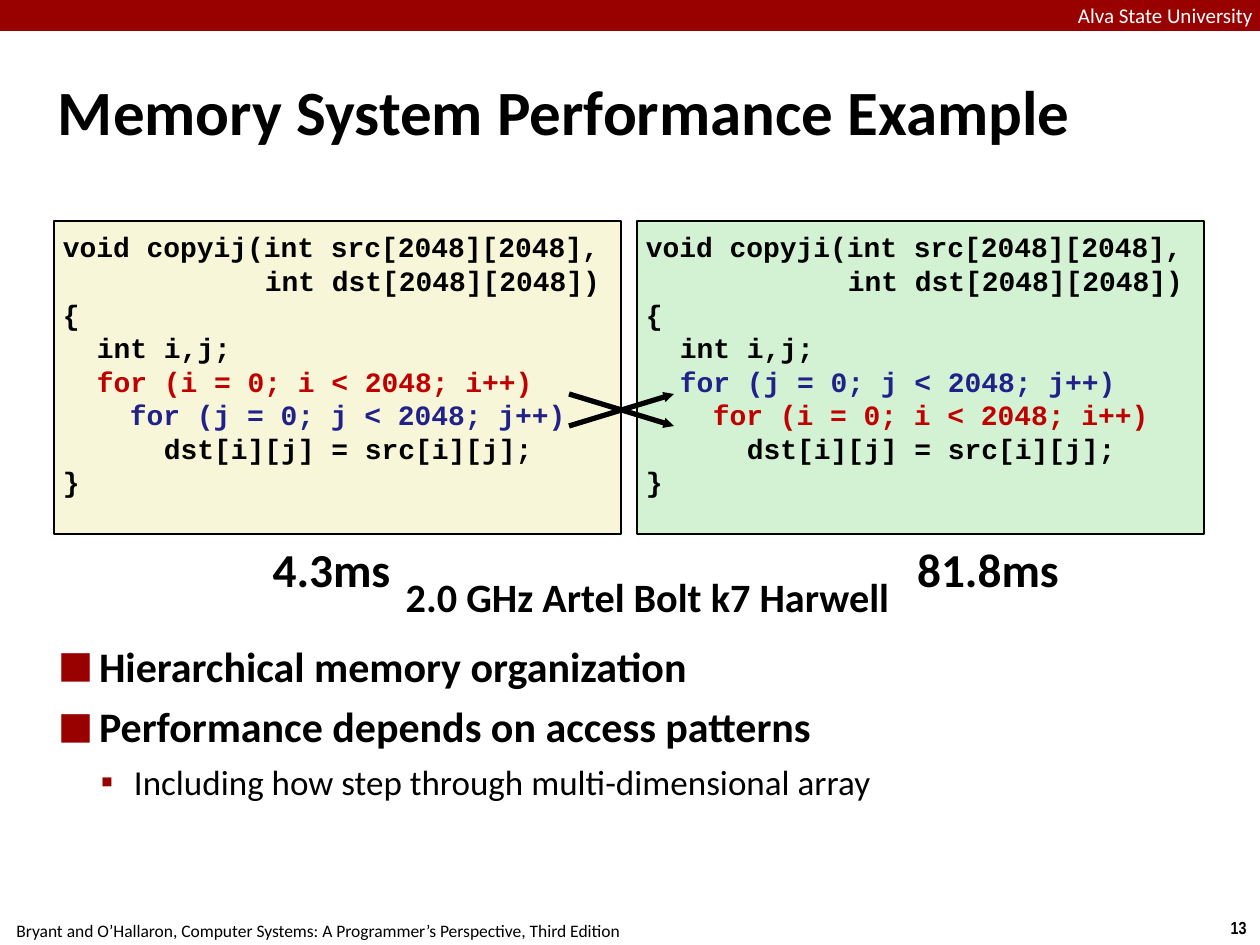
from pptx import Presentation
from pptx.dml.color import RGBColor
from pptx.enum.shapes import MSO_CONNECTOR as Link, MSO_SHAPE as Form
from pptx.enum.text import MSO_ANCHOR as Anchor, PP_ALIGN as Align
from pptx.oxml.ns import qn
from pptx.util import Emu, Pt
from lxml.etree import SubElement as sub

SCALE = 914400 / 126
BLACK, WHITE, RED = "000000", "FFFFFF", "990000"
OUTER, INNER = "C00000", "21218A"
SIDES = ("left", "top", "right", "bottom")


def px(n):
    return Emu(round(n * SCALE))


def color(code):
    return RGBColor.from_string(code)


def style(item, values):
    for name, value in values.items():
        setattr(item, name, value)


def write(par, text, size, tint=BLACK, bold=False, face="Calibri"):
    run = par.add_run()
    run.text = text
    style(run.font, {"size": Pt(size), "bold": bold, "name": face})
    run.font.color.rgb = color(tint)


def setup(frame, pads, wrap=True, anchor=Anchor.TOP):
    values = {f"margin_{side}": px(pad) for side, pad in zip(SIDES, pads)}
    style(frame, values | {"word_wrap": wrap, "vertical_anchor": anchor})


def label(slide, box, text, size, pads=(5, 5, 5, 5), wrap=False,
          align=Align.CENTER, anchor=Anchor.TOP, **look):
    frame = slide.shapes.add_textbox(*map(px, box)).text_frame
    setup(frame, pads, wrap, anchor)
    par = frame.paragraphs[0]
    par.alignment = align
    write(par, text, size, **look)


def panel(slide, box, fill, line=None):
    shape = slide.shapes.add_shape(Form.RECTANGLE, *map(px, box))
    shape.shadow.inherit = False
    shape.fill.solid()
    shape.fill.fore_color.rgb = color(fill)
    if line:
        shape.line.color.rgb = color(line)
        shape.line.width = Pt(0.75)
    else:
        shape.line.fill.background()
    return shape


def header(slide, box):
    left, top, width, height = box
    panel(slide, box, RED)
    label(slide, (left + width - 182, top + 3, 182, 24),
          "Alva State University", 12, pads=(0, 0, 0, 0),
          align=Align.LEFT, tint=WHITE)


def footer(slide, box):
    left, top, width, height = box
    pads = (13, 6, 13, 6)
    label(slide, (left + width - 43, top, 43, height), "13", 10,
          pads=pads, bold=True, face="Arial Narrow")
    label(slide, (left - 2, top + 3, 640, height),
          "Bryant and O’Hallaron, Computer Systems: "
          "A Programmer’s Perspective, Third Edition", 10, pads=pads)


def code(slide, box, fill, order):
    frame = panel(slide, box, fill, BLACK).text_frame
    setup(frame, (9, 9, 9, 9))
    tints = {"i": OUTER, "j": INNER}
    loops = [(2 + 2 * n, f"for ({v} = 0; {v} < 2048; {v}++)", tints[v])
             for n, v in enumerate(order)]
    lines = [(0, f"void copy{order}(int src[2048][2048],", BLACK),
             (12, "int dst[2048][2048])", BLACK),
             (0, "{", BLACK),
             (2, "int i,j;", BLACK),
             *loops,
             (6, "dst[i][j] = src[i][j];", BLACK),
             (0, "}", BLACK)]
    for n, (depth, text, tint) in enumerate(lines):
        par = frame.add_paragraph() if n else frame.paragraphs[0]
        par.alignment = Align.LEFT
        par._p.get_or_add_pPr().set("marL", str(px(round(depth * 16.8))))
        write(par, text, 16, tint, True, "Courier New")


def cross(slide, box):
    left, top, width, height = box
    for start, end in ((top, top + height), (top + height, top)):
        line = slide.shapes.add_connector(
            Link.STRAIGHT, px(left), px(start), px(left + width), px(end))
        line.line.color.rgb = color(BLACK)
        line.line.width = Pt(3)
        sub(line.line._get_or_add_ln(), qn("a:tailEnd"),
            type="triangle", w="sm", len="sm")
        sub(line._element.spPr, qn("a:effectLst"))


def timing(slide, box):
    left, top, width, height = box
    for start, drop, wide, text, size in (
            (204, 0, 147, "4.3ms", 27),
            (855, 0, 158, "81.8ms", 27),
            (341, 32, 506, "2.0 GHz Artel Bolt k7 Harwell", 23)):
        label(slide, (left + start, top + drop, wide, height - drop),
              text, size, bold=True)


def bullets(slide, box):
    frame = slide.shapes.add_textbox(*map(px, box)).text_frame
    setup(frame, (5, 5, 5, 5))
    points = (
        ("Hierarchical memory organization", 0, 0),
        ("Performance depends on access patterns", 0, 6),
        ("Including how step through multi-dimensional array", 1, 5))
    looks = (("■", 140, 41, 41, 24), ("▪", 100, 76, 33, 20))
    for n, (text, level, gap) in enumerate(points):
        mark, scale, margin, hang, size = looks[level]
        par = frame.add_paragraph() if n else frame.paragraphs[0]
        style(par, {"level": level, "space_before": Pt(gap)})
        props = par._p.get_or_add_pPr()
        props.set("marL", str(px(margin)))
        props.set("indent", str(px(-hang)))
        tint = sub(props, qn("a:buClr"))
        sub(tint, qn("a:srgbClr"), val=RED)
        sub(props, qn("a:buSzPct"), val=str(scale * 1000))
        sub(props, qn("a:buFont"), typeface="Calibri" if level else "Arial")
        sub(props, qn("a:buChar"), char=mark)
        write(par, text, size, bold=level == 0)


def main():
    deck = Presentation()
    style(deck, {"slide_width": px(1260), "slide_height": px(945)})
    slide = deck.slides.add_slide(deck.slide_layouts[6])
    footer(slide, (0, 911, 1260, 34))
    header(slide, (0, 0, 1260, 31))
    label(slide, (53, 35, 1155, 150), "Memory System Performance Example",
          36, wrap=True, align=Align.LEFT, anchor=Anchor.MIDDLE, bold=True)
    bullets(slide, (53, 635, 1155, 306))
    for n, (fill, order) in enumerate((("F8F6D9", "ij"), ("D3F2D3", "ji"))):
        code(slide, (54 + 583 * n, 221, 567, 313), fill, order)
    cross(slide, (569, 394, 105, 32))
    timing(slide, (54, 535, 1150, 94))
    deck.save("out.pptx")


if __name__ == "__main__":
    main()
